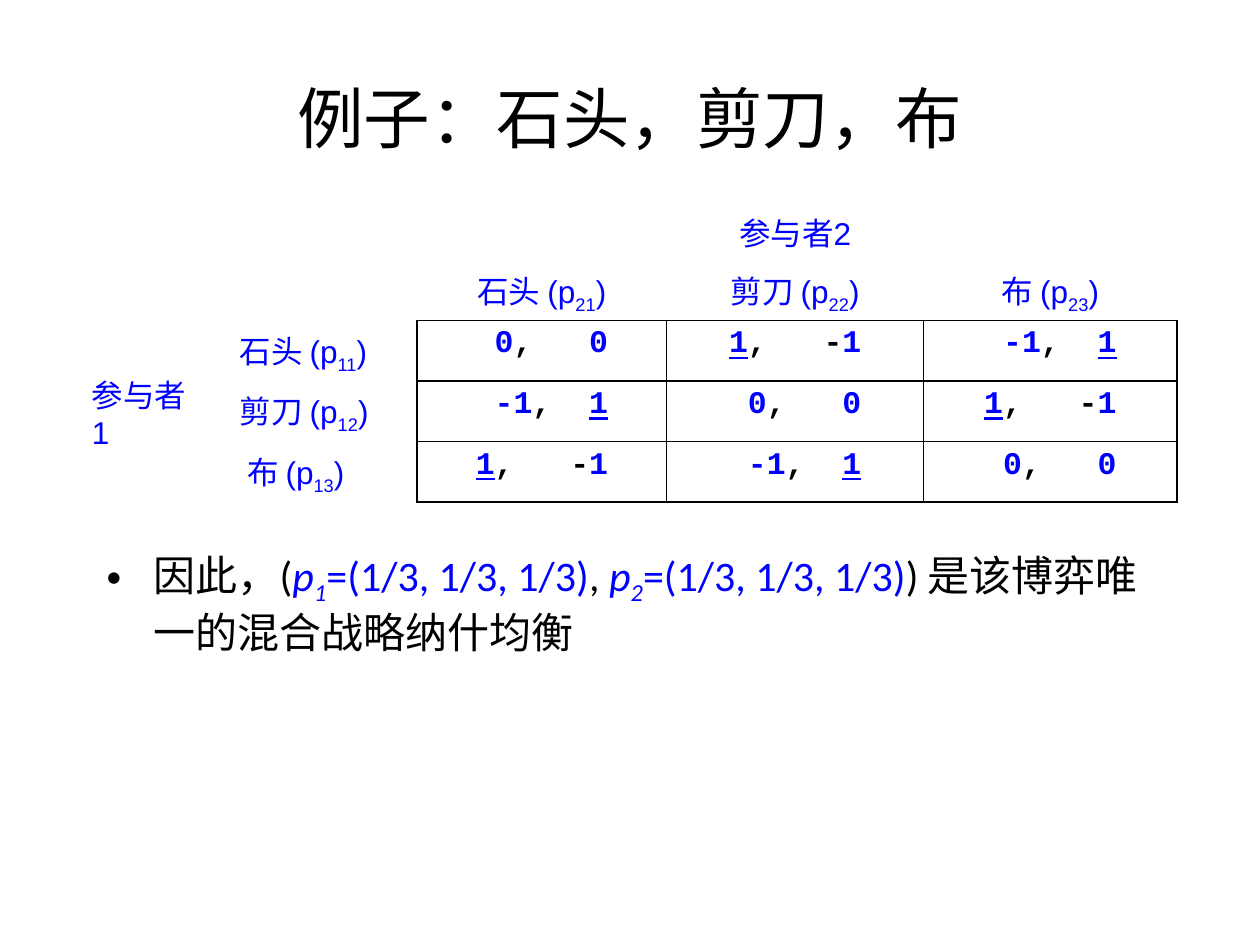
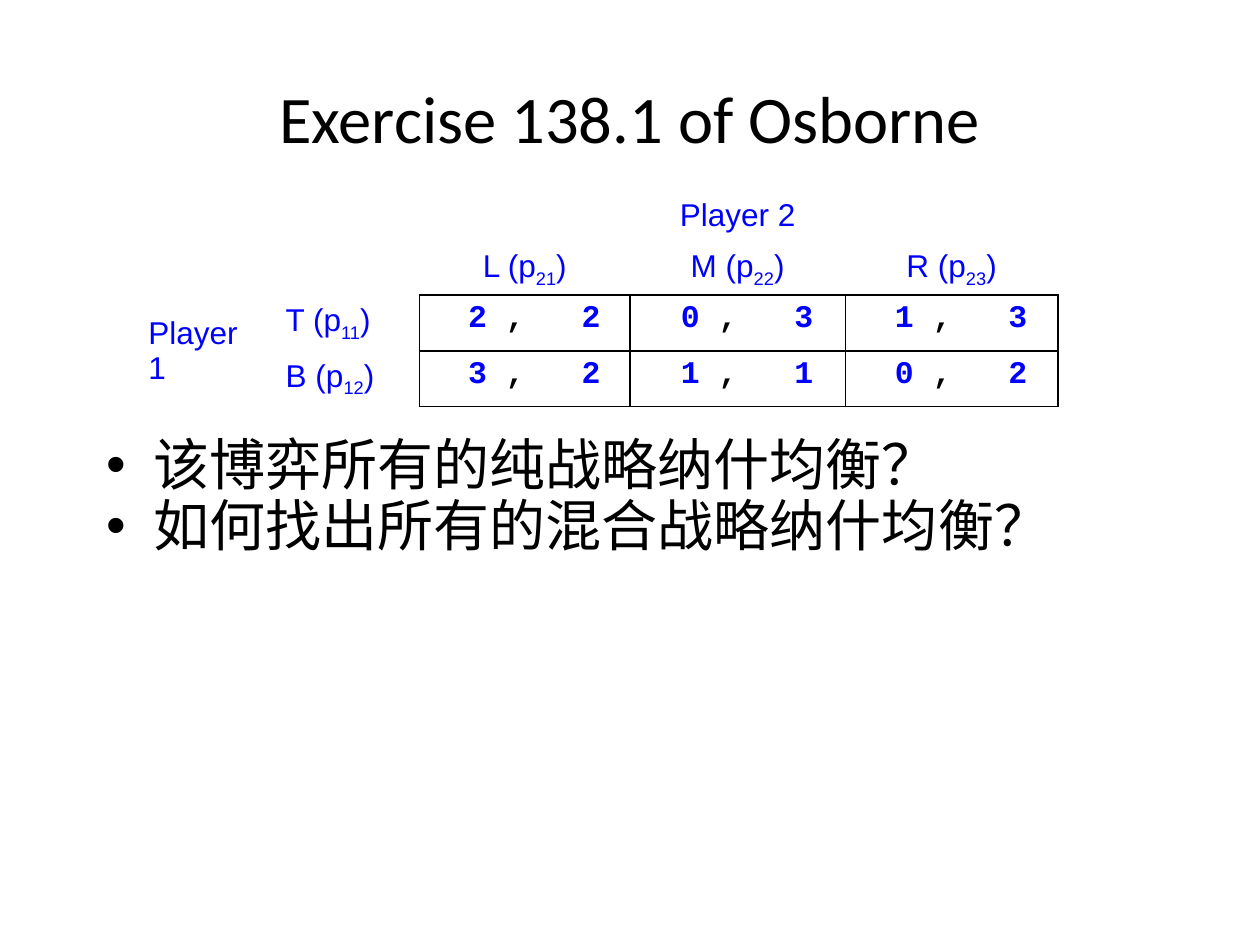
"""Build two slides showing payoff matrices and mixed-strategy questions."""
from dataclasses import dataclass

from lxml import etree
from pptx import Presentation
from pptx.dml.color import RGBColor
from pptx.enum.text import MSO_ANCHOR, PP_ALIGN
from pptx.oxml.ns import qn
from pptx.util import Cm, Pt

TOP, MIDDLE, BOTTOM = MSO_ANCHOR.TOP, MSO_ANCHOR.MIDDLE, MSO_ANCHOR.BOTTOM
LEFT, CENTER = PP_ALIGN.LEFT, PP_ALIGN.CENTER
COLORS = {"text": "000000", "accent": "0000FF", "border": "000000"}
NO_GRID_STYLE = "{2D5ABB26-0587-4C30-8999-92F81FD0307C}"
TITLE_FONT, LABEL_FONT, PAYOFF_FONT = "Calibri", "Arial", "Courier New"
TABLE_SIZE = 18
CHARACTER_WIDTH = Pt(0.6 * TABLE_SIZE)
CELL_MARGIN = 0.25


@dataclass(frozen=True)
class Run:
    text: str
    color: str = "text"
    bold: bool = False
    italic: bool = False
    underline: bool = False
    subscript: bool = False


@dataclass(frozen=True)
class Strategy:
    name: str
    index: str
    indent: float = CELL_MARGIN


@dataclass(frozen=True)
class Game:
    left: float
    top: float
    column_widths: tuple[float, ...]
    header_height: float
    row_height: float
    players: tuple[str, str]
    rows: tuple[Strategy, ...]
    columns: tuple[Strategy, ...]
    payoffs: tuple[tuple[tuple[int, int], ...], ...]
    separator: str
    character_count: int
    best_payoff: int | None = None


@dataclass(frozen=True)
class Body:
    top: float
    height: float
    size: float
    line_spacing: float
    paragraphs: tuple[tuple[Run, ...], ...]


@dataclass(frozen=True)
class GameSlide:
    title: str
    game: Game
    body: Body


def mixed_strategy(player: str) -> tuple[Run, ...]:
    return (
        Run("p", "accent", italic=True),
        Run(player, "accent", italic=True, subscript=True),
        Run("=(1/3, 1/3, 1/3)", "accent"),
    )


SLIDES = (
    GameSlide(
        "例子：石头，剪刀，布",
        Game(
            left=1.6, top=4.04,
            column_widths=(2.41, 4.4, 5.03, 5.18, 5.11),
            header_height=1.21, row_height=1.22,
            players=("参与者1", "参与者2"),
            rows=(Strategy("石头", "11", 0.82), Strategy("剪刀", "12", 0.82),
                  Strategy("布", "13", 0.97)),
            columns=(Strategy("石头", "21"), Strategy("剪刀", "22"), Strategy("布", "23")),
            payoffs=(((0, 0), (1, -1), (-1, 1)),
                     ((-1, 1), (0, 0), (1, -1)),
                     ((1, -1), (-1, 1), (0, 0))),
            separator=",", character_count=7, best_payoff=1,
        ),
        Body(10.95, 5.9, 24, 1.0, (
            (Run("因此，("), *mixed_strategy("1"), Run(", "), *mixed_strategy("2"),
             Run(") 是该博弈唯一的混合战略纳什均衡")),
        )),
    ),
    GameSlide(
        "Exercise 138.1 of Osborne",
        Game(
            left=2.74, top=3.81,
            column_widths=(2.77, 2.95, 4.24, 4.34, 4.29),
            header_height=1.02, row_height=1.06,
            players=("Player 1", "Player 2"),
            rows=(Strategy("T", "11"), Strategy("B", "12")),
            columns=(Strategy("L", "21"), Strategy("M", "22"), Strategy("R", "23")),
            payoffs=(((2, 2), (0, 3), (1, 3)),
                     ((3, 2), (1, 1), (0, 2))),
            separator=" ,", character_count=8,
        ),
        Body(8.69, 8.2, 32, 0.9, (
            (Run("该博弈所有的纯战略纳什均衡？"),),
            (Run("如何找出所有的混合战略纳什均衡？"),),
        )),
    ),
)


def set_attributes(target, values: dict) -> None:
    for name, value in values.items():
        setattr(target, name, value)


def write_runs(paragraph, runs: tuple[Run, ...], font_name: str, size: float) -> None:
    for item in runs:
        run = paragraph.add_run()
        run.text = item.text
        set_attributes(run.font, {
            "name": font_name, "size": Pt(size), "bold": item.bold,
            "italic": item.italic, "underline": item.underline,
        })
        run.font.color.rgb = RGBColor.from_string(COLORS[item.color])
        if item.subscript:
            run.font._element.set("baseline", "-25000")


def add_text_frame(slide, left: float, top: float, width: float, height: float, anchor):
    shape = slide.shapes.add_textbox(Cm(left), Cm(top), Cm(width), Cm(height))
    set_attributes(shape.text_frame, {"word_wrap": True, "vertical_anchor": anchor})
    return shape.text_frame


def add_title(slide, title: str) -> None:
    paragraph = add_text_frame(slide, 1.27, 0.76, 22.86, 3.18, MIDDLE).paragraphs[0]
    paragraph.alignment = CENTER
    write_runs(paragraph, (Run(title),), TITLE_FONT, 38)


def add_bullet(paragraph) -> None:
    properties = paragraph._p.get_or_add_pPr()
    properties.set("marL", str(Cm(0.95)))
    properties.set("indent", str(-Cm(0.95)))
    etree.SubElement(properties, qn("a:buFont"), typeface="Arial")
    etree.SubElement(properties, qn("a:buChar"), char="•")


def add_body(slide, body: Body) -> None:
    text_frame = add_text_frame(slide, 1.9, body.top, 22, body.height, TOP)
    for number, runs in enumerate(body.paragraphs):
        paragraph = text_frame.add_paragraph() if number else text_frame.paragraphs[0]
        paragraph.line_spacing = body.line_spacing
        add_bullet(paragraph)
        write_runs(paragraph, runs, TITLE_FONT, body.size)


def add_borders(cell) -> None:
    properties = cell._tc.get_or_add_tcPr()
    for position, side in enumerate(("lnL", "lnR", "lnT", "lnB")):
        line = etree.Element(qn(f"a:{side}"), w=str(Pt(1)))
        fill = etree.SubElement(line, qn("a:solidFill"))
        etree.SubElement(fill, qn("a:srgbClr"), val=COLORS["border"])
        properties.insert(position, line)


def write_label(cell, runs: tuple[Run, ...], anchor, alignment, indent: float = CELL_MARGIN) -> None:
    set_attributes(cell, {"vertical_anchor": anchor, "margin_left": Cm(indent)})
    paragraph = cell.text_frame.paragraphs[0]
    paragraph.alignment = alignment
    write_runs(paragraph, runs, LABEL_FONT, TABLE_SIZE)


def strategy_runs(strategy: Strategy) -> tuple[Run, ...]:
    return (
        Run(f"{strategy.name} (p", "accent"),
        Run(strategy.index, "accent", subscript=True),
        Run(")", "accent"),
    )


def write_payoff(cell, payoff: tuple[int, int], game: Game, column_width: int) -> None:
    first, second = payoff
    first_is_best = first == game.best_payoff
    lead = 0 if first_is_best else 1
    start = (column_width - game.character_count * CHARACTER_WIDTH) // 2
    set_attributes(cell, {
        "vertical_anchor": TOP, "margin_right": 0,
        "margin_left": start + lead * CHARACTER_WIDTH,
    })
    paragraph = cell.text_frame.paragraphs[0]
    paragraph.alignment = LEFT
    tabs = etree.SubElement(paragraph._p.get_or_add_pPr(), qn("a:tabLst"))
    tab_position = (game.character_count - lead) * CHARACTER_WIDTH
    etree.SubElement(tabs, qn("a:tab"), pos=str(tab_position), algn="r")
    sign = "-" if second < 0 else ""
    write_runs(paragraph, (
        Run(str(first), "accent", bold=True, underline=first_is_best),
        Run(f"{game.separator}\t{sign}", bold=True),
        Run(str(abs(second)), "accent", bold=True, underline=second == game.best_payoff),
    ), PAYOFF_FONT, TABLE_SIZE)
    add_borders(cell)


def add_game(slide, game: Game) -> None:
    heights = [game.header_height] * 2 + [game.row_height] * len(game.rows)
    frame = slide.shapes.add_table(
        len(heights), len(game.column_widths), Cm(game.left), Cm(game.top),
        Cm(sum(game.column_widths)), Cm(sum(heights)))
    table = frame.table
    set_attributes(table, {"first_row": False, "horz_banding": False})
    table._tbl.tblPr.find(qn("a:tableStyleId")).text = NO_GRID_STYLE
    for column, width in zip(table.columns, game.column_widths):
        column.width = Cm(width)
    for row, height in zip(table.rows, heights):
        row.height = Cm(height)
    for cell in table.iter_cells():
        cell.fill.background()

    row_player, column_player = game.players
    table.cell(2, 0).merge(table.cell(len(heights) - 1, 0))
    write_label(table.cell(2, 0), (Run(row_player, "accent"),), MIDDLE, LEFT)
    write_label(table.cell(0, 3), (Run(column_player, "accent"),), BOTTOM, CENTER)
    for column, strategy in enumerate(game.columns, 2):
        write_label(table.cell(1, column), strategy_runs(strategy), BOTTOM, CENTER)
    for row, (strategy, payoffs) in enumerate(zip(game.rows, game.payoffs), 2):
        write_label(table.cell(row, 1), strategy_runs(strategy), MIDDLE, LEFT, strategy.indent)
        for column, payoff in enumerate(payoffs, 2):
            write_payoff(table.cell(row, column), payoff, game, table.columns[column].width)


def main() -> None:
    presentation = Presentation()
    set_attributes(presentation, {"slide_width": Cm(25.4), "slide_height": Cm(19.05)})
    for content in SLIDES:
        slide = presentation.slides.add_slide(presentation.slide_layouts[6])
        add_title(slide, content.title)
        add_body(slide, content.body)
        add_game(slide, content.game)
    presentation.save("out.pptx")


if __name__ == "__main__":
    main()
